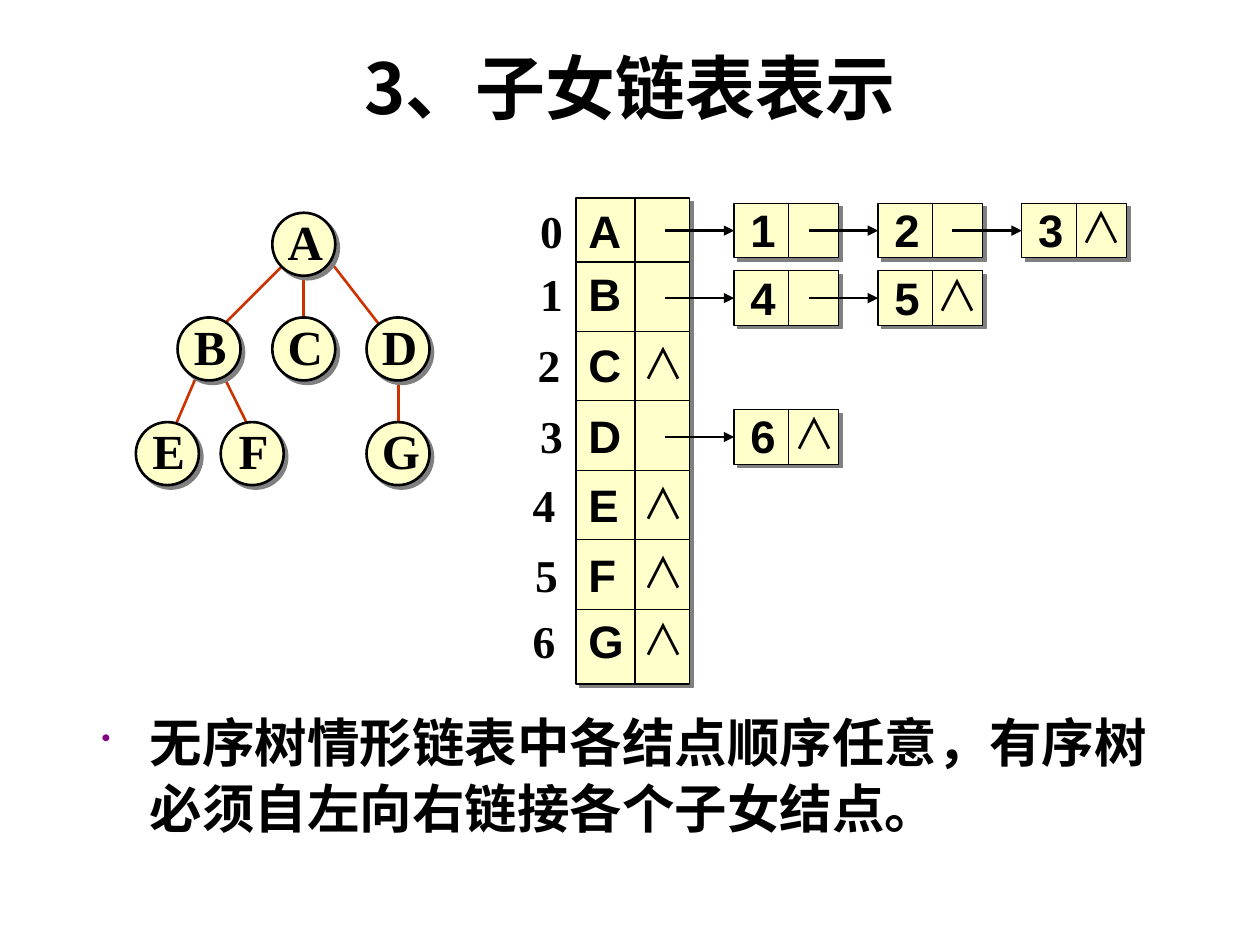
from lxml import etree
from pptx import Presentation
from pptx.dml.color import RGBColor as RGB
from pptx.enum.shapes import MSO_CONNECTOR as LINK, MSO_SHAPE as SHAPE
from pptx.enum.text import MSO_ANCHOR as ANCHOR, MSO_AUTO_SIZE as FIT, PP_ALIGN as ALIGN
from pptx.oxml.ns import qn
from pptx.util import Cm, Pt

COLORS = {"ink": "000000", "node": "FFFFCC", "edge": "CC3300",
          "shade": "808080", "bullet": "800080"}
CJK = "Noto Sans CJK SC"
FORMATS = {
    "title": {"name": "Noto Sans CJK JP", "size": Pt(40), "bold": True},
    "body": {"name": "Arial", "size": Pt(30), "bold": True},
    "tree": {"name": "Times New Roman", "size": Pt(28), "bold": True},
    "index": {"name": "Times New Roman", "size": Pt(26), "bold": True},
    "data": {"name": "Arial", "size": Pt(26), "bold": True},
    "null": {"name": CJK, "size": Pt(24), "bold": False},
}
LABEL_FRAME = {"word_wrap": False, "auto_size": FIT.SHAPE_TO_FIT_TEXT}

DIAMETER = 1.27
TREE_NODES = {"A": (5.49, 4.29), "B": (3.58, 6.4), "C": (5.49, 6.4), "D": (7.39, 6.4),
              "E": (2.74, 8.51), "F": (4.45, 8.51), "G": (7.39, 8.51)}
TREE_EDGES = [(8.03, 7.47, 8.03, 8.94), (6.55, 5.13, 8.03, 7.04),
              (4.45, 7.47, 5.08, 8.74), (4.01, 7.47, 3.38, 8.94),
              (5.72, 5.33, 4.45, 6.6), (6.12, 5.33, 6.12, 6.6)]

TABLE_LEFT, TABLE_TOP, TABLE_WIDTH, TABLE_HEIGHT = 11.61, 3.99, 2.29, 9.8
POINTER_LEFT, FIRST_RULE, ROW_HEIGHT = 12.8, 5.28, 1.4
ROWS = [("A", 3.96, 10.64), ("B", 5.23, 10.64), ("C", 6.67, 10.59), ("D", 8.11, 10.64),
        ("E", 9.5, 10.49), ("F", 10.9, 10.54), ("G", 12.24, 10.49)]
CHILDREN = {"A": (4.1, "123"), "B": (5.46, "45"), "D": (8.26, "6")}
CELL_LEFT, CELL_STEP, CELL_WIDTH, CELL_HEIGHT = 14.8, 2.9, 2.11, 1.1
ARROW_LENGTH = 1.4


def add_text(slide, text, style, left, top, width, height, frame_format, align=ALIGN.LEFT):
    frame = slide.shapes.add_textbox(Cm(left), Cm(top), Cm(width), Cm(height)).text_frame
    for key, value in frame_format.items():
        setattr(frame, key, value)
    paragraph = frame.paragraphs[0]
    paragraph.alignment = align
    run = paragraph.add_run()
    run.text = text
    for key, value in FORMATS[style].items():
        setattr(run.font, key, value)
    run.font.color.rgb = RGB.from_string(COLORS["ink"])
    east_asian = FORMATS[style]["name"] if style == "title" else CJK
    run.font._element.find(qn("a:latin")).addnext(
        etree.Element(qn("a:ea"), typeface=east_asian))
    return paragraph


def add_label(slide, text, style, left, top, width=1.0, height=1.35):
    return add_text(slide, text, style, left, top, width, height, LABEL_FRAME)


def add_null(slide, left, top):
    add_label(slide, "∧", "null", left, top, 1.35, 1.27)


def add_box(slide, preset, left, top, width, height, weight):
    box = slide.shapes.add_shape(preset, Cm(left), Cm(top), Cm(width), Cm(height))
    box.fill.solid()
    box.fill.fore_color.rgb = RGB.from_string(COLORS["node"])
    box.line.color.rgb = RGB.from_string(COLORS["ink"])
    box.line.width = Pt(weight)
    box.shadow.inherit = False
    effects = box._element.spPr.find(qn("a:effectLst"))
    shadow = etree.SubElement(effects, qn("a:outerShdw"), dist=str(Pt(2.8)),
                              dir="2700000", algn="ctr", rotWithShape="0")
    etree.SubElement(shadow, qn("a:srgbClr"), val=COLORS["shade"])
    return box


def add_line(slide, x1, y1, x2, y2, color="ink", weight=0.75, arrow=False):
    line = slide.shapes.add_connector(LINK.STRAIGHT, Cm(x1), Cm(y1), Cm(x2), Cm(y2))
    line.line.color.rgb = RGB.from_string(COLORS[color])
    line.line.width = Pt(weight)
    if arrow:
        etree.SubElement(line.line._get_or_add_ln(), qn("a:tailEnd"), type="triangle")
    etree.SubElement(line._element.spPr, qn("a:effectLst"))
    return line


def add_tree(slide):
    for edge in TREE_EDGES:
        add_line(slide, *edge, color="edge", weight=1.5)
    for left, top in TREE_NODES.values():
        add_box(slide, SHAPE.OVAL, left, top, DIAMETER, DIAMETER, 1.5)
    for name, (left, top) in TREE_NODES.items():
        label_frame = {**LABEL_FRAME, "vertical_anchor": ANCHOR.MIDDLE}
        add_text(slide, name, "tree", left + 0.06, top - 0.16, 1.2, 1.45,
                 label_frame, ALIGN.CENTER)


def add_node_table(slide):
    right = TABLE_LEFT + TABLE_WIDTH
    add_box(slide, SHAPE.RECTANGLE, TABLE_LEFT, TABLE_TOP, TABLE_WIDTH, TABLE_HEIGHT, 0.75)
    for row in range(len(ROWS) - 1):
        rule = FIRST_RULE + row * ROW_HEIGHT
        add_line(slide, TABLE_LEFT, rule, right, rule)
    add_line(slide, POINTER_LEFT, TABLE_TOP, POINTER_LEFT, TABLE_TOP + TABLE_HEIGHT)
    for index, (name, top, index_left) in enumerate(ROWS):
        add_label(slide, str(index), "index", index_left, top)
        add_label(slide, name, "data", TABLE_LEFT, top, 1.17)
        if name not in CHILDREN:
            add_null(slide, POINTER_LEFT - 0.1, top)


def add_child_list(slide, top, children):
    middle = top + CELL_HEIGHT / 2
    for position, child in enumerate(children):
        left = CELL_LEFT + position * CELL_STEP
        divider = left + CELL_WIDTH * 0.52
        cell = add_box(slide, SHAPE.RECTANGLE, left, top, CELL_WIDTH, CELL_HEIGHT, 0.75)
        add_line(slide, divider, top, divider, top + CELL_HEIGHT)
        add_label(slide, child, "data", left + 0.08, top - 0.15)
        arrow = add_line(slide, left - ARROW_LENGTH, middle, left, middle,
                         weight=1.5, arrow=True)
        arrow.end_connect(cell, 1)
    add_null(slide, divider - 0.16, top - 0.16)


def add_remark(slide, text):
    paragraph = add_text(slide, text, "body", 1.8, 14.12, 22.25, 3.3, {"word_wrap": True})
    properties = paragraph._p.get_or_add_pPr()
    properties.set("marL", str(Cm(0.97)))
    properties.set("indent", str(-Cm(0.97)))
    color = etree.SubElement(properties, qn("a:buClr"))
    etree.SubElement(color, qn("a:srgbClr"), val=COLORS["bullet"])
    etree.SubElement(properties, qn("a:buSzPct"), val="50000")
    etree.SubElement(properties, qn("a:buChar"), char="•")
    paragraph.line_spacing = 1.05


def main():
    deck = Presentation()
    deck.slide_width, deck.slide_height = Cm(25.4), Cm(19.05)
    slide = deck.slides.add_slide(deck.slide_layouts[6])
    add_text(slide, "3、子女链表表示", "title", 1.27, 0.76, 22.86, 1.96,
             {"word_wrap": True, "vertical_anchor": ANCHOR.MIDDLE}, ALIGN.CENTER)
    add_remark(slide, "无序树情形链表中各结点顺序任意，有序树必须自左向右链接各个子女结点。")
    add_tree(slide)
    add_node_table(slide)
    for top, children in CHILDREN.values():
        add_child_list(slide, top, children)
    deck.save("out.pptx")


if __name__ == "__main__":
    main()
